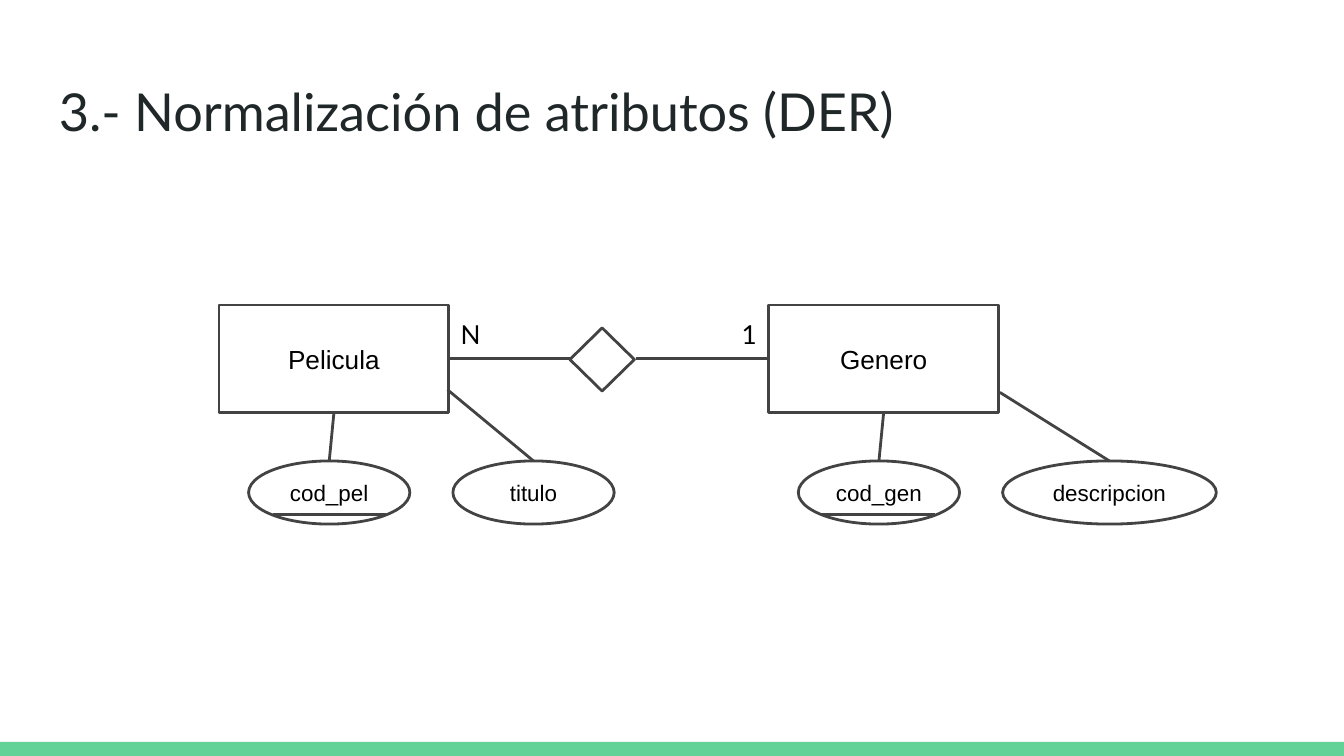
from dataclasses import dataclass

from lxml.etree import SubElement
from pptx import Presentation
from pptx.dml.color import RGBColor as RGB
from pptx.enum.shapes import MSO_CONNECTOR as Link, MSO_SHAPE as Kind
from pptx.enum.text import MSO_ANCHOR as Anchor, PP_ALIGN as Align
from pptx.oxml.ns import qn
from pptx.util import Inches, Pt


@dataclass(frozen=True)
class Theme:
    green: RGB = RGB(0x63, 0xD2, 0x97)
    dark: RGB = RGB(0x20, 0x27, 0x29)
    black: RGB = RGB(0, 0, 0)
    line: RGB = RGB(0x43, 0x43, 0x43)
    width: float = 1.5
    title: int = 28
    entity: int = 14
    field: int = 12
    head: str = "Lato"
    body: str = "Arial"


THEME = Theme()
TOP, LOW = 2.27, 3.43
BOX_W, BOX_H = 1.71, 0.8
OVAL_W, OVAL_H = 1.2, 0.47
MID = TOP + BOX_H / 2


def write(shape, text, size, font, color, align=Align.LEFT, anchor=Anchor.TOP):
    frame = shape.text_frame
    frame.text = text
    frame.word_wrap = True
    frame.vertical_anchor = anchor
    frame.margin_left = frame.margin_right = Inches(0.1)
    frame.margin_top = frame.margin_bottom = Inches(0.1)
    para = frame.paragraphs[0]
    para.alignment = align
    face = para.runs[0].font
    face.size, face.name, face.color.rgb = Pt(size), font, color


def add_label(slide, text, box, size, color):
    label = slide.shapes.add_textbox(*map(Inches, box))
    write(label, text, size, THEME.head, color)


def add_node(slide, kind, box, text="", size=THEME.entity):
    """Add an outlined, unfilled shape, with centred text if any."""
    node = slide.shapes.add_shape(kind, *map(Inches, box))
    node.shadow.inherit = False
    node.fill.background()
    node.line.color.rgb = THEME.line
    node.line.width = Pt(THEME.width)
    if text:
        write(node, text, size, THEME.body, THEME.black, Align.CENTER, Anchor.MIDDLE)


def add_line(slide, start, end, kind=Link.STRAIGHT):
    line = slide.shapes.add_connector(kind, *map(Inches, start + end))
    line.line.color.rgb = THEME.line
    line.line.width = Pt(THEME.width)
    SubElement(line._element.spPr, qn("a:effectLst"))


def add_entity(slide, left, name, key, field, wide, joint):
    """Add an entity with its underlined key and one more attribute."""
    add_node(slide, Kind.RECTANGLE, (left, TOP, BOX_W, BOX_H), name)
    key_x, field_x = left + 0.22, left + 1.74
    mid = key_x + OVAL_W / 2
    add_node(slide, Kind.OVAL, (key_x, LOW, OVAL_W, OVAL_H), key, THEME.field)
    add_node(slide, Kind.OVAL, (field_x, LOW, wide, OVAL_H), field, THEME.field)
    add_line(slide, (mid, LOW), (left + BOX_W / 2, TOP + BOX_H))
    add_line(slide, (field_x + wide / 2, LOW), joint)
    add_line(slide, (mid - 0.42, 3.83), (mid + 0.42, 3.83))


def add_bar(slide):
    bar = slide.shapes.add_shape(
        Kind.RECTANGLE, 0, Inches(5.52), Inches(10), Inches(0.11))
    bar.shadow.inherit = False
    bar.fill.solid()
    bar.fill.fore_color.rgb = THEME.green
    bar.line.fill.background()


def main():
    deck = Presentation()
    deck.slide_width = Inches(10)
    deck.slide_height = Inches(10 * 9 / 16)
    slide = deck.slides.add_slide(deck.slide_layouts[6])
    add_bar(slide)
    add_label(slide, "3.- Normalización de atributos (DER)",
              (0.34, 0.49, 9.32, 0.63), THEME.title, THEME.dark)

    add_entity(slide, 1.63, "Pelicula", "cod_pel", "titulo", OVAL_W, (3.33, 2.9))
    add_entity(slide, 5.72, "Genero", "cod_gen", "descripcion", 1.59, (7.44, 2.92))

    add_node(slide, Kind.FLOWCHART_DECISION, (4.24, 2.44, 0.48, 0.47))
    for start, end in ((4.73, 5.72), (3.35, 4.24)):
        add_line(slide, (start, MID), (end, MID), Link.ELBOW)
    for text, left in (("N", 3.33), ("1", 5.42)):
        add_label(slide, text, (left, TOP, 0.3, 0.47), THEME.entity, THEME.black)
    deck.save("out.pptx")


if __name__ == "__main__":
    main()
